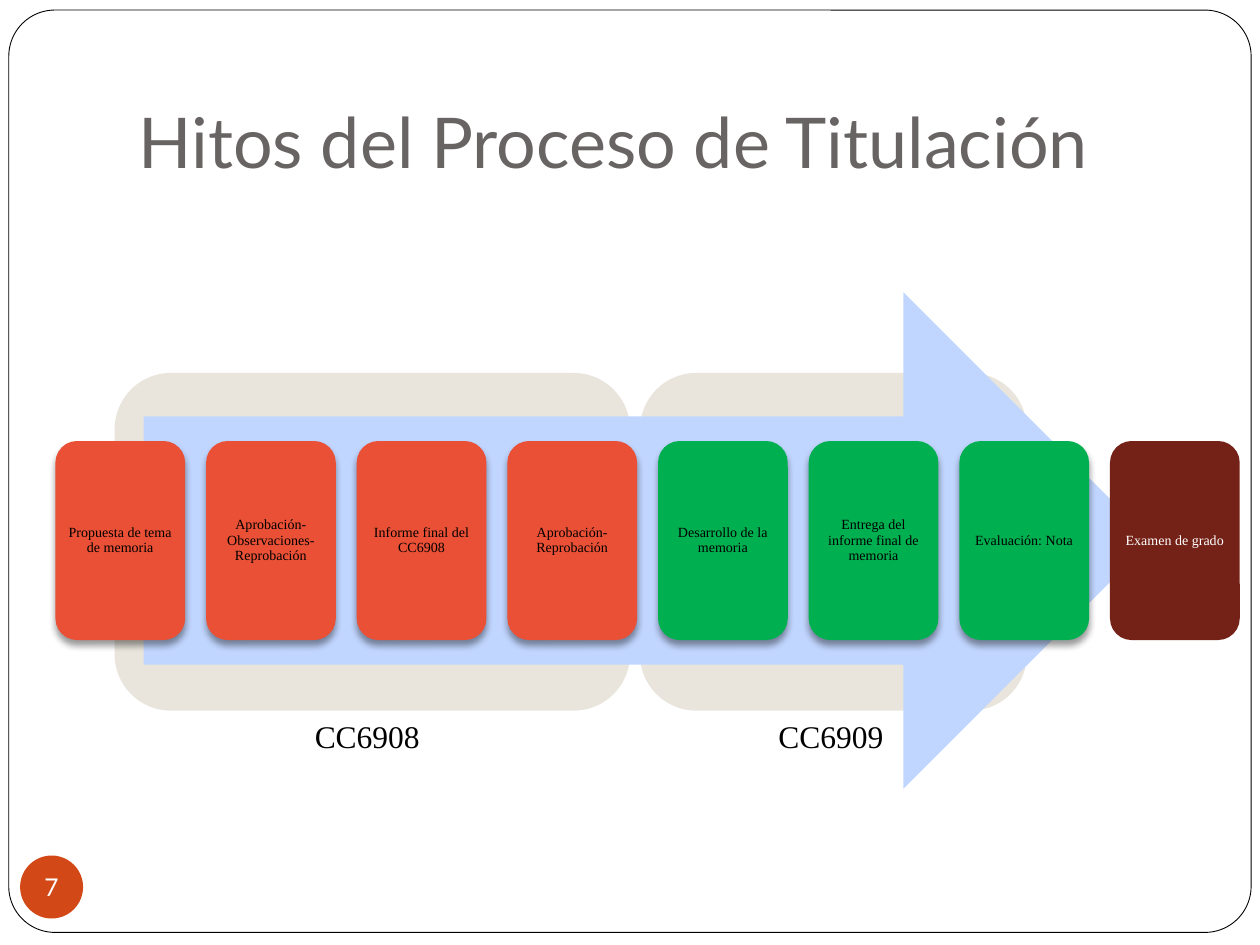
from lxml.etree import SubElement as Sub
from pptx import Presentation
from pptx.dml.color import RGBColor as RGB
from pptx.enum.shapes import MSO_SHAPE as Kind
from pptx.enum.text import MSO_ANCHOR as Anchor, MSO_AUTO_SIZE as Auto, PP_ALIGN as Align
from pptx.oxml.ns import qn
from pptx.util import Inches, Pt

TITLE = "Hitos del Proceso de Titulación"
PAGE = "7"
SERIF, SANS = "Times New Roman", "Lato"
RED, GREEN, BROWN = "EA5036", "00B050", "742217"
BLACK, WHITE = "000000", "FFFFFF"
COURSES = [
    ("CC6909", (5.08, 2.96, 3.07, 2.68), 6.08),
    ("CC6908", (0.91, 2.96, 4.09, 2.68), 2.4),
]
STEPS = [
    ("Propuesta de tema de memoria", RED, BLACK),
    ("Aprobación-Observaciones-Reprobación", RED, BLACK),
    ("Informe final del CC6908", RED, BLACK),
    ("Aprobación-Reprobación", RED, BLACK),
    ("Desarrollo de la memoria", GREEN, BLACK),
    ("Entrega del informe final de memoria", GREEN, BLACK),
    ("Evaluación: Nota", GREEN, BLACK),
    ("Examen de grado", BROWN, WHITE),
]
FIRST, LAST = 0.44, 8.81
PITCH = (LAST - FIRST) / (len(STEPS) - 1)
SIDES = ("margin_left", "margin_top", "margin_right", "margin_bottom")


def color(code):
    return RGB.from_string(code)


def block(home, kind, box, fill, line=None):
    item = home.shapes.add_shape(kind, *map(Inches, box))
    item.shadow.inherit = False
    item.fill.solid()
    item.fill.fore_color.rgb = color(fill)
    if line:
        item.line.color.rgb = color(line)
        item.line.width = Pt(0.5)
    else:
        item.line.fill.background()
    return item


def write(item, text, size, face, code, pads, frame, para):
    body = item.text_frame
    body.text = text
    for side, pad in zip(SIDES, pads):
        setattr(body, side, Inches(pad))
    for name, value in frame.items():
        setattr(body, name, value)
    line = body.paragraphs[0]
    for name, value in para.items():
        setattr(line, name, value)
    font = line.runs[0].font
    font.size, font.name = Pt(size), face
    font.color.rgb = color(code)


def shade(item):
    effect = item._element.spPr.find(qn("a:effectLst"))
    outer = Sub(effect, qn("a:outerShdw"), blurRad=str(Pt(4)), dist=str(Pt(3)),
                dir="5400000", rotWithShape="0")
    tint = Sub(outer, qn("a:srgbClr"), val=BLACK)
    Sub(tint, qn("a:alpha"), val="40000")


deck = Presentation()
deck.slide_width, deck.slide_height = Inches(10), Inches(7.5)
slide = deck.slides.add_slide(deck.slide_layouts[5])
title = slide.shapes.title

border = block(slide, Kind.ROUNDED_RECTANGLE, (0.07, 0.08, 9.86, 7.32), WHITE, BLACK)
border.adjustments[0] = 0.05
tree = title._element.getparent()

for name, box, left in COURSES:
    group = slide.shapes.add_group_shape()
    block(group, Kind.ROUNDED_RECTANGLE, box, "E9E5DC")
    label = group.shapes.add_textbox(*map(Inches, (left, 5.64, 1.13, 0.4)))
    write(label, name, 18, SERIF, BLACK, (0.1, 0.05, 0.1, 0.05),
          {"word_wrap": False, "auto_size": Auto.SHAPE_TO_FIT_TEXT}, {})

tree.append(title._element)
for side, value in zip(("left", "top", "width", "height"), (1, 0.3, 8.5, 1.25)):
    setattr(title, side, Inches(value))
write(title, TITLE, 40, SANS, "696464", (0.1, 0.05, 0.1, 0.1),
      {"vertical_anchor": Anchor.BOTTOM, "word_wrap": True, "auto_size": Auto.NONE},
      {"alignment": Align.LEFT})

badge = block(slide, Kind.OVAL, (0.16, 6.79, 0.5, 0.5), "D34817")
write(badge, PAGE, 14, SANS, WHITE, (0,) * 4,
      {"vertical_anchor": Anchor.MIDDLE, "word_wrap": False}, {"alignment": Align.CENTER})

flow = slide.shapes.add_group_shape()
block(flow, Kind.RIGHT_ARROW, (1.14, 2.32, 8, 3.94), "C1D6FF")
for col, (text, fill, ink) in enumerate(STEPS):
    card = block(flow, Kind.ROUNDED_RECTANGLE, (FIRST + col * PITCH, 3.5, 1.03, 1.58), fill)
    if fill != BROWN:
        shade(card)
    write(card, text, 8, SERIF, ink, (0.08 - 0.05,) * 4,
          {"vertical_anchor": Anchor.MIDDLE, "word_wrap": True},
          {"alignment": Align.CENTER, "line_spacing": 0.9})

deck.save("out.pptx")
